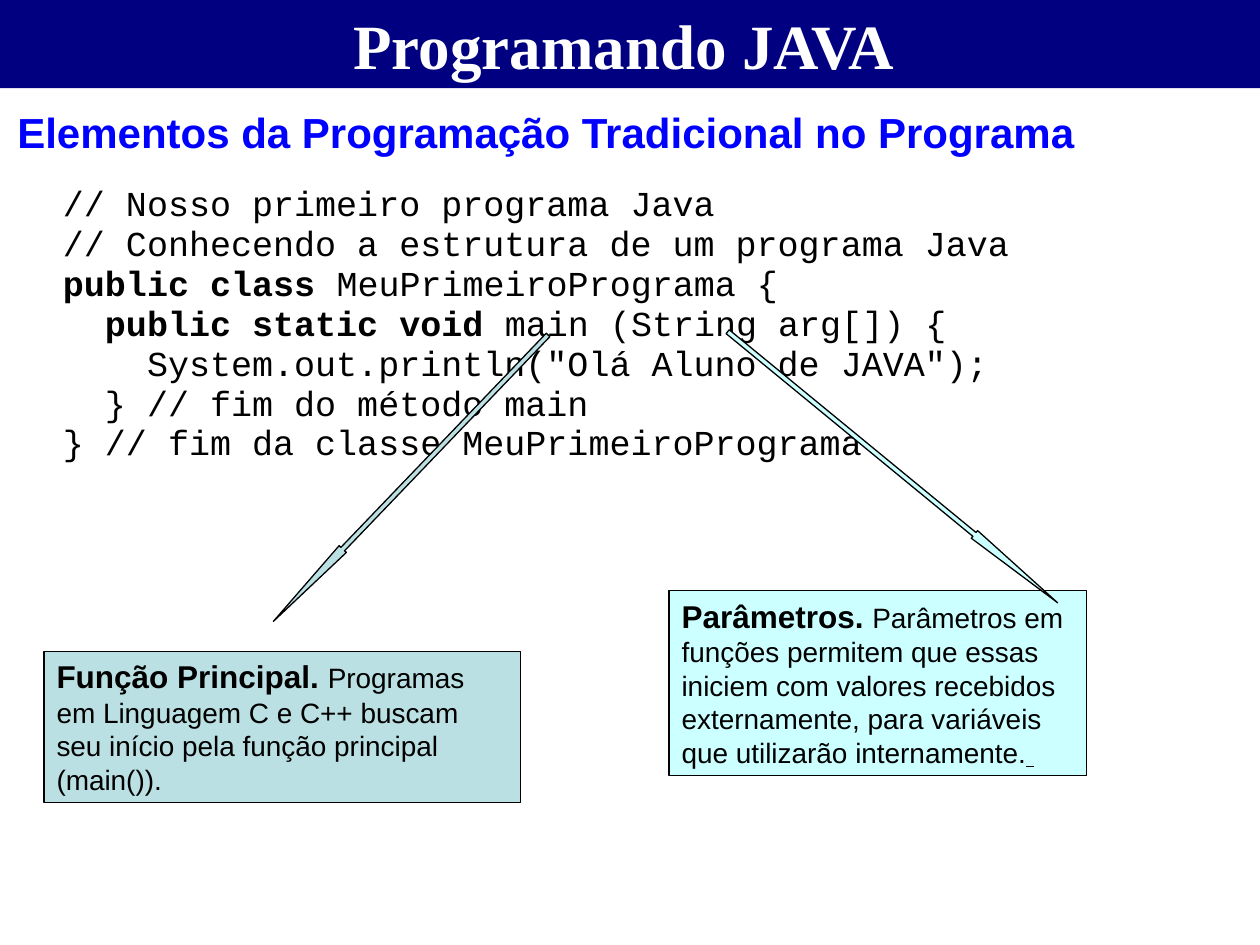
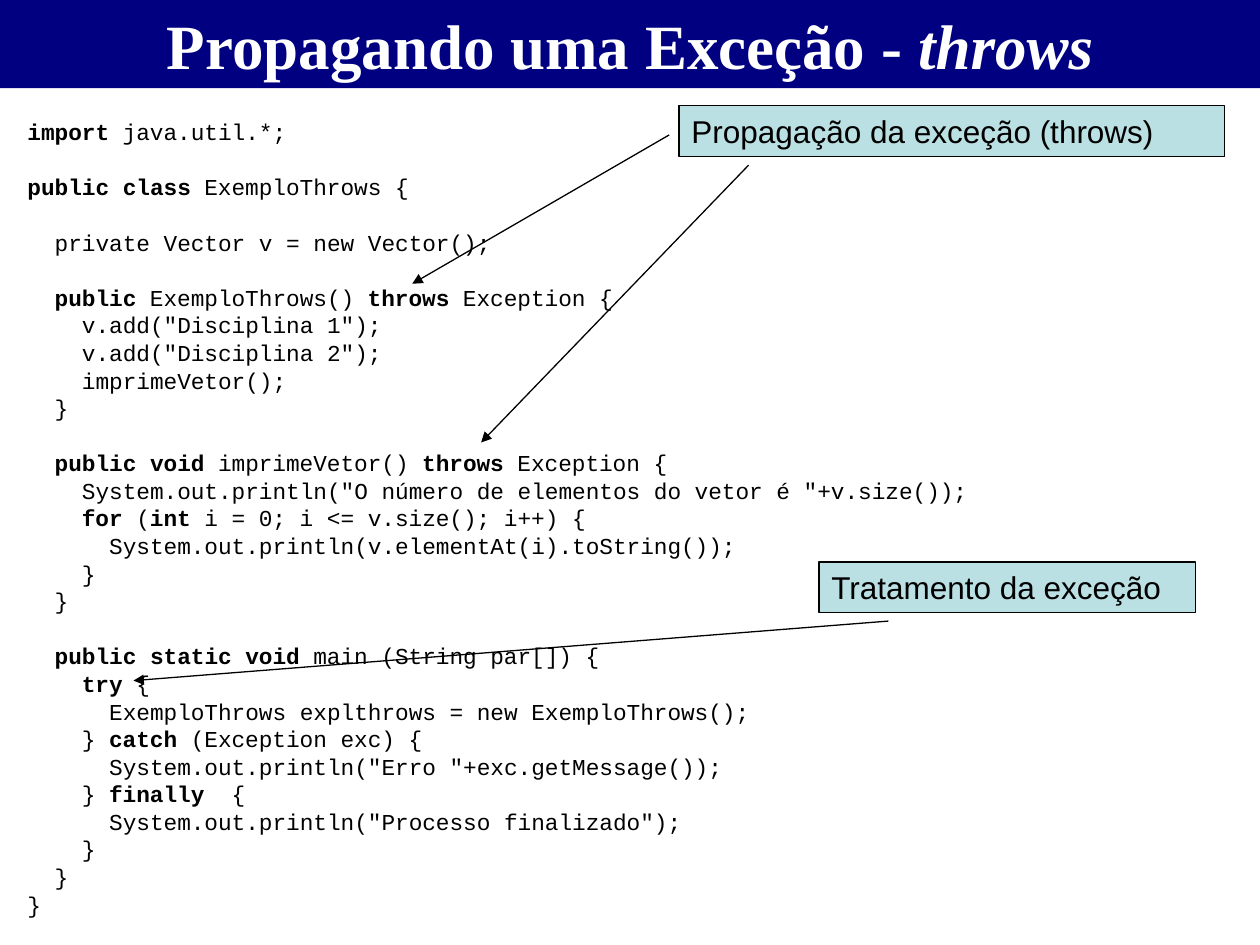
from typing import NamedTuple

from pptx import Presentation
from pptx.dml.color import RGBColor
from pptx.enum.shapes import MSO_CONNECTOR as CONN, MSO_SHAPE as SHAPE
from pptx.enum.text import MSO_ANCHOR as ANCHOR, MSO_AUTO_SIZE as AUTO, PP_ALIGN as ALIGN
from pptx.oxml import parse_xml
from pptx.oxml.ns import nsdecls, qn
from pptx.util import Cm, Pt

NAVY, BLUE, BLACK, WHITE = "000080", "0000FF", "000000", "FFFFFF"
TEAL, AQUA = "BBE0E3", "CCFFFF"
SANS, MONO, SERIF = "Arial", "Courier New", "Times New Roman"
LEADING = 1.2


class Box(NamedTuple):
    left: float
    top: float
    width: float
    height: float


class Span(NamedTuple):
    text: str
    size: float
    bold: bool = False
    italic: bool = False
    underline: bool = False


class Callout(NamedTuple):
    box: Box
    fill: str
    spans: list[Span]
    top_inset: float = 0.13


class BlockArrow(NamedTuple):
    shape: SHAPE
    box: Box
    angle: float
    head: float
    fill: str


class Pointer(NamedTuple):
    x1: float
    y1: float
    x2: float
    y2: float


BAND = Box(0, 0, 25.4, 1.78)

FIRST_PROGRAM = """\
// Nosso primeiro programa Java
// Conhecendo a estrutura de um programa Java
**public class** MeuPrimeiroPrograma {
**  public static void **main (String arg[]) {
    System.out.println("Olá Aluno de JAVA");
  } // fim do método main
} // fim da classe MeuPrimeiroPrograma"""

THROWS_PROGRAM = """\
**import** java.util.*;

**public class** ExemploThrows {

  private Vector v = new Vector();

  **public** ExemploThrows() **throws** Exception {
    v.add("Disciplina 1");
    v.add("Disciplina 2");
    imprimeVetor();
  }

  **public void** imprimeVetor() **throws** Exception {
    System.out.println("O número de elementos do vetor é "+v.size());
    **for** (**int** i = 0; i <= v.size(); i++) {
      System.out.println(v.elementAt(i).toString());
    }
  }

  **public static void** main (String par[]) {
    **try** {
      ExemploThrows explthrows = new ExemploThrows();
    } **catch** (Exception exc) {
      System.out.println("Erro "+exc.getMessage());
    } **finally**  {
      System.out.println("Processo finalizado");
    }
  }
}"""

MAIN_CALLOUT = Callout(Box(0.89, 13.13, 9.6, 3.05), TEAL, [
    Span("Função Principal. ", 18, bold=True),
    Span("Programas em Linguagem C e C++ buscam seu início pela função principal (main()).", 16),
], 0.21)
PARAMS_CALLOUT = Callout(Box(13.49, 11.91, 8.41, 3.73), AQUA, [
    Span("Parâmetros. ", 18, bold=True),
    Span("Parâmetros em funções permitem que essas iniciem com valores recebidos "
         "externamente, para variáveis que utilizarão internamente.", 16),
    Span(" ", 16, underline=True),
], 0.21)
MAIN_ARROW = BlockArrow(SHAPE.DOWN_ARROW, Box(8.18, 5.64, 0.2, 8), 43.8, 10.1, TEAL)
PARAMS_ARROW = BlockArrow(SHAPE.RIGHT_ARROW, Box(13.69, 9.32, 8.61, 0.2), 39.4, 10.86, AQUA)

THROWS_CALLOUTS = [
    Callout(Box(13.69, 2.13, 11, 1.02), TEAL, [Span("Propagação da exceção (throws)", 18)]),
    Callout(Box(16.51, 11.33, 7.59, 1.02), TEAL, [Span("Tratamento da exceção", 18)]),
]
POINTERS = [
    Pointer(13.49, 2.72, 8.31, 5.72),
    Pointer(15.09, 3.33, 9.7, 8.92),
    Pointer(17.91, 12.52, 2.69, 13.72),
]


def rgb(value: str) -> RGBColor:
    return RGBColor.from_string(value)


def place(sp, box: Box) -> None:
    sp.left, sp.top, sp.width, sp.height = map(Cm, box)


def setup_frame(tf, anchor=ANCHOR.TOP) -> None:
    tf.word_wrap = True
    tf.auto_size = AUTO.NONE
    tf.vertical_anchor = anchor


def write(p, spans: list[Span], font: str, color: str, spacing: float = 1) -> None:
    for span in spans:
        r = p.add_run()
        r.text = span.text
        f = r.font
        f.name, f.size, f.color.rgb = font, Pt(span.size), rgb(color)
        f.bold, f.italic, f.underline = span.bold, span.italic, span.underline
    p.line_spacing = Pt(round(spans[-1].size * LEADING * spacing, 2))
    p.space_before = Pt(0)


def add_band_title(slide, spans: list[Span]) -> None:
    sp = slide.shapes.title
    place(sp, BAND)
    sp.fill.solid()
    sp.fill.fore_color.rgb = rgb(NAVY)
    setup_frame(sp.text_frame, ANCHOR.MIDDLE)
    p = sp.text_frame.paragraphs[0]
    p.alignment = ALIGN.CENTER
    write(p, spans, SERIF, WHITE)


def add_text_box(slide, box: Box):
    tf = slide.shapes.add_textbox(*map(Cm, box)).text_frame
    setup_frame(tf)
    return tf


def write_code(tf, code: str, size: float, spacing: float, gap: float = 0) -> None:
    """Write code lines, with ** around bold parts and empty lines as spacing."""
    p, skipped = None, 0
    for line in code.splitlines():
        if not line:
            skipped += 1
            continue
        first = p is None
        p = tf.paragraphs[0] if first else tf.add_paragraph()
        pPr = p._p.get_or_add_pPr()
        pPr.set("marL", "0")
        pPr.set("indent", "0")
        pPr.append(parse_xml(f"<a:buNone {nsdecls('a')}/>"))
        spans = [Span(part, size, bold=i % 2 == 1)
                 for i, part in enumerate(line.split("**")) if part]
        write(p, spans, MONO, BLACK, spacing)
        if not first:
            pitch = size * LEADING * spacing + gap
            p.space_before = Pt(round(gap + skipped * pitch, 2))
        skipped = 0


def add_outlined(slide, shape: SHAPE, box: Box, fill: str):
    sp = slide.shapes.add_shape(shape, *map(Cm, box))
    sp.shadow.inherit = False
    sp.fill.solid()
    sp.fill.fore_color.rgb = rgb(fill)
    sp.line.color.rgb = rgb(BLACK)
    sp.line.width = Pt(0.75)
    return sp


def add_callout(slide, callout: Callout) -> None:
    tf = add_outlined(slide, SHAPE.RECTANGLE, callout.box, callout.fill).text_frame
    setup_frame(tf)
    tf.margin_top = Cm(callout.top_inset)
    p = tf.paragraphs[0]
    p.alignment = ALIGN.LEFT
    write(p, callout.spans, SANS, BLACK)


def add_block_arrow(slide, arrow: BlockArrow) -> None:
    sp = add_outlined(slide, arrow.shape, arrow.box, arrow.fill)
    sp.adjustments[0], sp.adjustments[1] = 0.5, arrow.head
    sp.rotation = arrow.angle


def add_pointer(slide, pointer: Pointer) -> None:
    c = slide.shapes.add_connector(CONN.STRAIGHT, *map(Cm, pointer))
    c.line.color.rgb = rgb(BLACK)
    c.line.width = Pt(0.75)
    spPr = c._element.spPr
    spPr.find(qn("a:ln")).append(parse_xml(f'<a:tailEnd {nsdecls("a")} type="triangle"/>'))
    spPr.append(parse_xml(f"<a:effectLst {nsdecls('a')}/>"))


def build_first_program(prs) -> None:
    slide = prs.slides.add_slide(prs.slide_layouts[5])
    add_band_title(slide, [Span("Programando JAVA ", 36, bold=True)])
    heading = add_text_box(slide, Box(0.1, 2.03, 24.61, 1.27))
    write(heading.paragraphs[0],
          [Span("Elementos da Programação Tradicional no Programa", 24, bold=True)], SANS, BLUE)
    code = add_text_box(slide, Box(1.02, 3.58, 22.88, 6.6))
    write_code(code, FIRST_PROGRAM, 20, 0.95)
    add_block_arrow(slide, MAIN_ARROW)
    add_callout(slide, MAIN_CALLOUT)
    add_callout(slide, PARAMS_CALLOUT)
    add_block_arrow(slide, PARAMS_ARROW)


def build_throws(prs) -> None:
    slide = prs.slides.add_slide(prs.slide_layouts[1])
    add_band_title(slide, [Span("Propagando uma Exceção - ", 36, bold=True),
                           Span("throws", 36, bold=True, italic=True)])
    body = slide.placeholders[1]
    place(body, Box(0.3, 2.36, 24.51, 16.2))
    setup_frame(body.text_frame)
    write_code(body.text_frame, THROWS_PROGRAM, 13, 0.8, 3.3)
    for callout in THROWS_CALLOUTS:
        add_callout(slide, callout)
    for pointer in POINTERS:
        add_pointer(slide, pointer)


def main() -> None:
    prs = Presentation()
    prs.slide_width, prs.slide_height = Cm(25.4), Cm(19.05)
    build_first_program(prs)
    build_throws(prs)
    prs.save("out.pptx")


if __name__ == "__main__":
    main()
